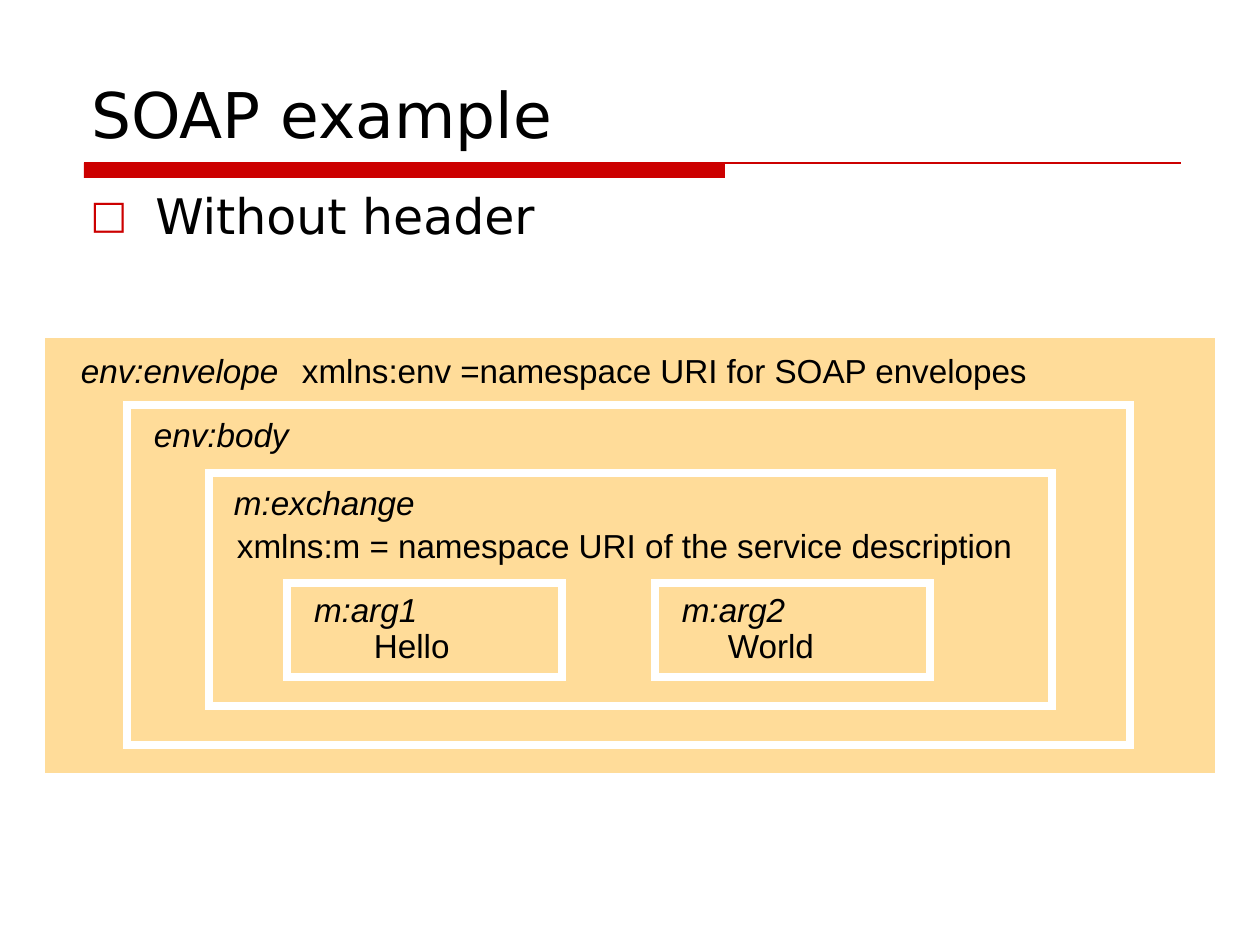
import pptx
import pptx.dml.color
import pptx.enum.shapes
import pptx.enum.text
import pptx.oxml
import pptx.oxml.ns
import pptx.util

EMU_PER_PX = 914400 / 126
RED, SAND, WHITE, BLACK = "CC0000", "FFDC99", "FFFFFF", "000000"
RECTANGLE = pptx.enum.shapes.MSO_SHAPE.RECTANGLE
NAMESPACE = pptx.oxml.ns.nsdecls("a")


def px(*lengths):
    return [pptx.util.Emu(round(length * EMU_PER_PX)) for length in lengths]


def paint(color_format, color):
    color_format.rgb = pptx.dml.color.RGBColor.from_string(color)


def add_rectangle(slide, box, fill=None, line=None, line_width=4.14):
    shape = slide.shapes.add_shape(RECTANGLE, *px(*box))
    shape.shadow.inherit = False
    if fill:
        shape.fill.solid()
        paint(shape.fill.fore_color, fill)
    else:
        shape.fill.background()
    if line:
        paint(shape.line.color, line)
        shape.line.width = pptx.util.Pt(line_width)
        miter = pptx.oxml.parse_xml(f'<a:miter {NAMESPACE} lim="800000"/>')
        shape.line._get_or_add_ln().append(miter)
    else:
        shape.line.fill.background()


def add_text(slide, box, text, size, font_name, italic=False):
    text_box = slide.shapes.add_textbox(*px(*box))
    text_frame = text_box.text_frame
    text_frame.word_wrap = True
    text_frame.text = text
    font = text_frame.paragraphs[0].runs[0].font
    font.size = pptx.util.Pt(size)
    font.name = font_name
    font.italic = italic
    paint(font.color, BLACK)
    return text_frame


def add_label(slide, left, top, width, text, italic=False):
    text_frame = add_text(slide, (left, top, width, 40), text, 19, "Arial", italic)
    text_frame.word_wrap = False
    text_frame.auto_size = pptx.enum.text.MSO_AUTO_SIZE.SHAPE_TO_FIT_TEXT
    text_frame.margin_left = text_frame.margin_right = 0
    text_frame.margin_top = text_frame.margin_bottom = 0


def add_panel(slide, box):
    left, top, width, height = box
    add_rectangle(slide, box, fill=SAND)
    add_rectangle(slide, (left - 4, top - 4, width + 8, height + 8), line=WHITE)


def add_heading(slide, box):
    left, top, width, height = box
    rule_left, rule_top = left + 5, top + height + 6
    add_rectangle(slide, (rule_left, rule_top, 641, 15), fill=RED)
    rule = slide.shapes.add_connector(
        pptx.enum.shapes.MSO_CONNECTOR.STRAIGHT,
        *px(rule_left, rule_top, rule_left + 1097, rule_top),
    )
    paint(rule.line.color, RED)
    rule.line.width = pptx.util.Pt(0.75)
    properties = rule.line._get_or_add_ln().getparent()
    properties.append(pptx.oxml.parse_xml(f"<a:effectLst {NAMESPACE}/>"))
    text_frame = add_text(slide, box, "SOAP example", 36, "DejaVu Sans")
    text_frame.vertical_anchor = pptx.enum.text.MSO_ANCHOR.BOTTOM


def add_bullet_text(slide, box):
    text_frame = add_text(slide, box, "Without header", 28, "DejaVu Sans")
    properties = text_frame.paragraphs[0]._p.get_or_add_pPr()
    indent = px(65)[0]
    properties.set("marL", str(indent))
    properties.set("indent", str(-indent))
    for element in (
        f'<a:buClr {NAMESPACE}><a:srgbClr val="{RED}"/></a:buClr>',
        f'<a:buSzPct {NAMESPACE} val="80000"/>',
        f'<a:buFont {NAMESPACE} typeface="DejaVu Sans"/>',
        f'<a:buChar {NAMESPACE} char="□"/>',
    ):
        properties.append(pptx.oxml.parse_xml(element))


def add_envelope(slide, box):
    left, top, width, height = box
    add_panel(slide, box)
    add_label(slide, left + 36, top + 12, 202, "env:envelope", italic=True)
    add_label(slide, left + 257, top + 12, 730,
              "xmlns:env =namespace URI for SOAP envelopes")
    add_body(slide, (left + 86, top + 71, width - 175, height - 103))


def add_body(slide, box):
    left, top, width, height = box
    add_panel(slide, box)
    add_label(slide, left + 23, top + 5, 139, "env:body", italic=True)
    add_exchange(slide, (left + 82, top + 68, width - 160, height - 107))


def add_exchange(slide, box):
    left, top, width, height = box
    add_panel(slide, box)
    add_label(slide, left + 21, top + 5, 185, "m:exchange", italic=True)
    add_label(slide, left + 24, top + 48, 780,
              "xmlns:m = namespace URI of the service description")
    arguments = (("m:arg1", "Hello", 83, 80), ("m:arg2", "World", 69, 91))
    for index, (name, value, offset, value_width) in enumerate(arguments):
        argument_box = (left + 78 + index * 368, top + 110, 267, 86)
        add_argument(slide, argument_box, name, value, offset, value_width)


def add_argument(slide, box, name, value, offset, value_width):
    left, top, width, height = box
    add_panel(slide, box)
    add_label(slide, left + 23, top + 2, 110, name, italic=True)
    add_label(slide, left + offset, top + 38, value_width, value)


def main():
    presentation = pptx.Presentation()
    presentation.slide_width, presentation.slide_height = px(1260, 945)
    slide = presentation.slides.add_slide(presentation.slide_layouts[6])
    add_heading(slide, (79, 10, 1102, 147))
    add_bullet_text(slide, (78, 179, 1102, 683))
    add_envelope(slide, (45, 338, 1170, 435))
    presentation.save("out.pptx")


if __name__ == "__main__":
    main()
